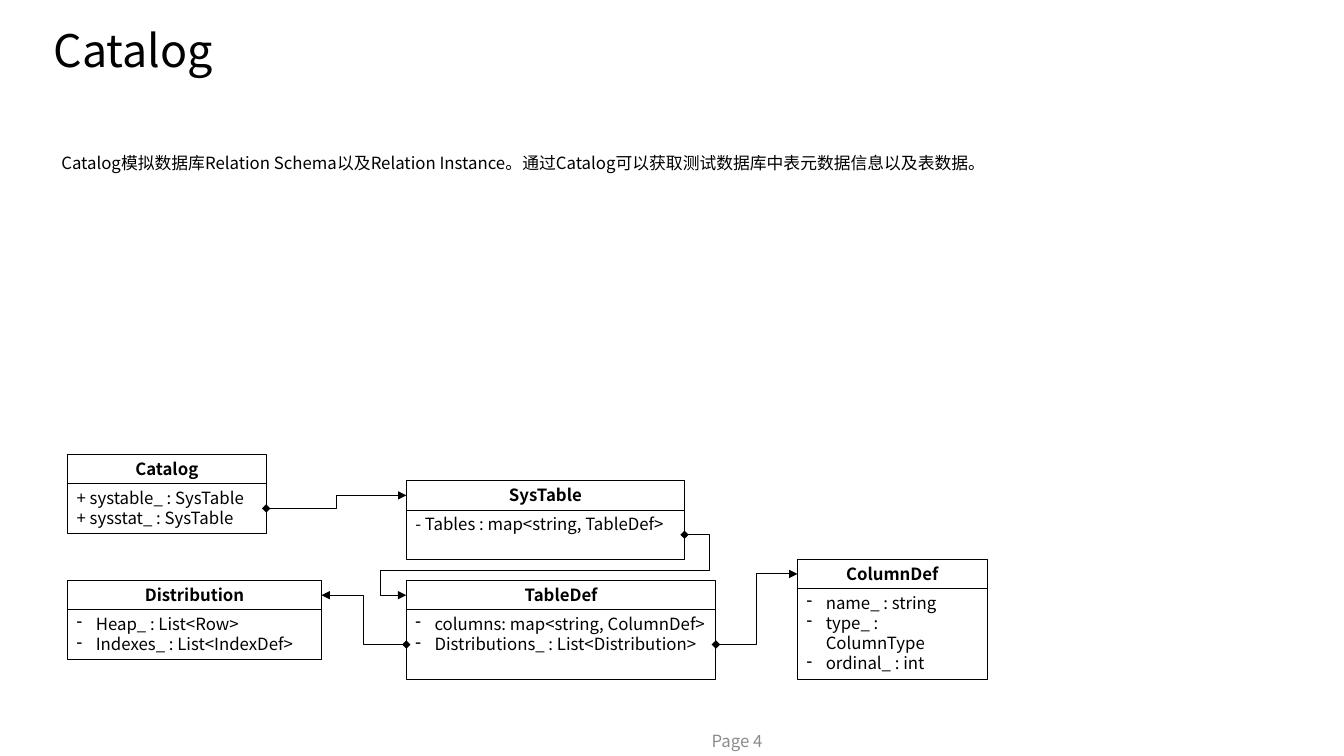
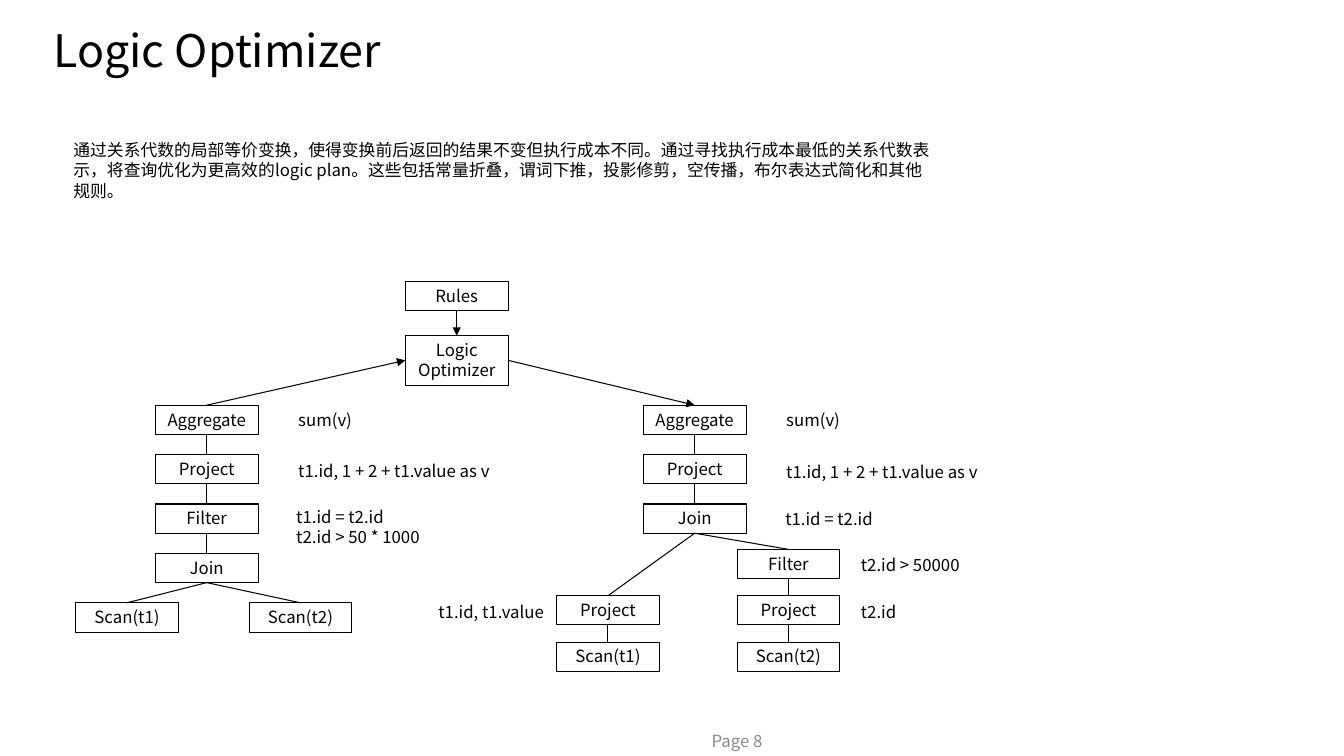
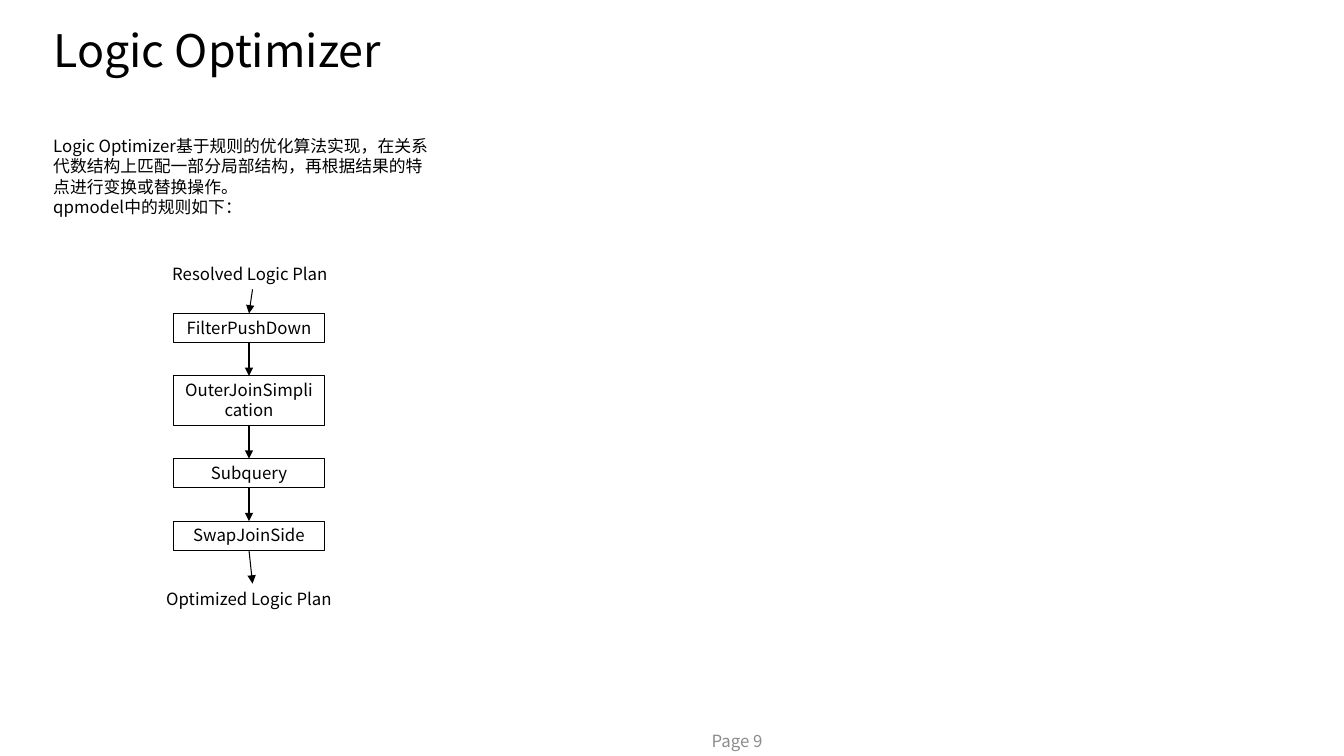
"""Build three slides about a query engine's catalog and logic optimizer."""
import dataclasses
import typing

import lxml.etree
import pptx
import pptx.dml.color
import pptx.enum.shapes
import pptx.enum.text
import pptx.oxml.ns
import pptx.presentation
import pptx.shapes.autoshape
import pptx.shapes.base
import pptx.slide
import pptx.util

Inches = pptx.util.Inches
Pt = pptx.util.Pt
qn = pptx.oxml.ns.qn
Align = pptx.enum.text.PP_ALIGN
Anchor = pptx.enum.text.MSO_ANCHOR
AutoSize = pptx.enum.text.MSO_AUTO_SIZE
Connector = pptx.enum.shapes.MSO_CONNECTOR
Box = pptx.shapes.autoshape.Shape

BLACK = pptx.dml.color.RGBColor(0x00, 0x00, 0x00)
GRAY = pptx.dml.color.RGBColor(0x8C, 0x8C, 0x8C)
FONT = "Noto Sans CJK SC"
TOP, LEFT, BOTTOM, RIGHT = range(4)
ROW_H, TALL_H = 0.29, 0.49
LABEL_H = 0.3
NODE_W = 1.02


@dataclasses.dataclass(frozen=True)
class Entity:
    name: str
    left: float
    top: float
    width: float
    body_height: float
    members: str
    bullet: str = ""


@dataclasses.dataclass(frozen=True)
class Node:
    key: str
    text: str
    left: float
    top: float
    height: float = ROW_H


@dataclasses.dataclass(frozen=True)
class Label:
    text: str
    left: float
    top: float
    width: float
    height: float = LABEL_H


@dataclasses.dataclass(frozen=True)
class Edge:
    start: str
    end: str
    start_site: int = BOTTOM
    end_site: int = TOP
    tail: str = ""
    bends: tuple[int, ...] = ()


ENTITIES = (
    Entity("Catalog", 0.67, 4.51, 1.97, 0.49,
           "+ systable_ : SysTable\n+ sysstat_ : SysTable"),
    Entity("SysTable", 4.03, 4.77, 2.76, 0.49, "- Tables : map<string, TableDef>"),
    Entity("TableDef", 4.03, 5.76, 3.07, 0.69,
           "columns: map<string, ColumnDef>\nDistributions_ : List<Distribution>", "-"),
    Entity("ColumnDef", 7.91, 5.55, 1.88, 0.9,
           "name_ : string\ntype_ : ColumnType\nordinal_ : int", "-"),
    Entity("Distribution", 0.67, 5.76, 2.52, 0.49,
           "Heap_ : List<Row>\nIndexes_ : List<IndexDef>", "-"),
)
REFERENCES = (
    Edge("TableDef", "ColumnDef", RIGHT, LEFT),
    Edge("SysTable", "TableDef", RIGHT, LEFT, bends=(-9100, 58500, 109100)),
    Edge("Catalog", "SysTable", RIGHT, LEFT),
    Edge("TableDef", "Distribution", LEFT, RIGHT),
)

PLAN_TOP, PLAN_STEP = 4.02, 0.49
BRANCH_TOP, BRANCH_STEP = 5.45, 0.46
PLAN_ROWS = [PLAN_TOP + PLAN_STEP * i for i in range(5)]
BRANCH_ROWS = [BRANCH_TOP + BRANCH_STEP * i for i in range(3)]
PLAN_NODES = (
    Node("rules", "Rules", 4.02, 2.79),
    Node("optimizer", "Logic Optimizer", 4.02, 3.33, TALL_H),
    *(Node(f"old {text}", text, 1.54, top)
      for text, top in zip(("Aggregate", "Project", "Filter", "Join"), PLAN_ROWS)),
    Node("old t1", "Scan(t1)", 0.75, PLAN_ROWS[4]),
    Node("old t2", "Scan(t2)", 2.47, PLAN_ROWS[4]),
    *(Node(f"new {text}", text, 6.38, top)
      for text, top in zip(("Aggregate", "Project", "Join"), PLAN_ROWS)),
    *(Node(f"t1 {text}", text, 5.52, top)
      for text, top in zip(("Project", "Scan(t1)"), BRANCH_ROWS[1:])),
    *(Node(f"t2 {text}", text, 7.31, top)
      for text, top in zip(("Filter", "Project", "Scan(t2)"), BRANCH_ROWS)),
)
PLAN_LABELS = (
    Label("sum(v)", 2.86, 4.02, 0.74),
    Label("t1.id, 1 + 2 + t1.value as v", 2.86, 4.52, 2.27),
    Label("t1.id = t2.id\nt2.id > 50 * 1000", 2.84, 4.98, 1.54, 0.5),
    Label("sum(v)", 7.7, 4.02, 0.74),
    Label("t1.id, 1 + 2 + t1.value as v", 7.7, 4.53, 2.27),
    Label("t1.id = t2.id", 7.69, 5, 1.13),
    Label("t2.id > 50000", 8.44, 5.45, 1.27),
    Label("t2.id", 8.44, 5.92, 0.57),
    Label("t1.id, t1.value", 4.25, 5.92, 1.27),
)
PLAN_EDGES = (
    Edge("rules", "optimizer", tail="triangle"),
    Edge("old Aggregate", "optimizer", TOP, LEFT, "triangle"),
    Edge("optimizer", "new Aggregate", RIGHT, TOP, "triangle"),
    Edge("old Aggregate", "old Project"),
    Edge("old Project", "old Filter"),
    Edge("old Filter", "old Join"),
    Edge("old Join", "old t1"),
    Edge("old Join", "old t2"),
    Edge("new Aggregate", "new Project"),
    Edge("new Project", "new Join"),
    Edge("new Join", "t1 Project"),
    Edge("new Join", "t2 Filter"),
    Edge("t1 Project", "t1 Scan(t1)"),
    Edge("t2 Filter", "t2 Project"),
    Edge("t2 Project", "t2 Scan(t2)"),
)

RULES = (("FilterPushDown", ROW_H), ("OuterJoinSimplication", TALL_H),
         ("Subquery", ROW_H), ("SwapJoinSide", ROW_H))
RULE_LEFT, RULE_TOP, RULE_W, RULE_GAP = 1.72, 3.11, 1.5, 0.33


def write(sp: Box, text: str, *, size: float = 12, bold: bool = False,
          color: pptx.dml.color.RGBColor = BLACK, align: Align = Align.LEFT,
          anchor: Anchor = Anchor.TOP, wrap: bool = True, grow: bool = True,
          spacing: typing.Optional[float] = None, bullet: str = "") -> None:
    """Fill a shape with one formatted paragraph per line of text."""
    tf = sp.text_frame
    tf.word_wrap = wrap
    tf.auto_size = AutoSize.SHAPE_TO_FIT_TEXT if grow else AutoSize.NONE
    tf.vertical_anchor = anchor
    for i, line in enumerate(text.split("\n")):
        p = tf.add_paragraph() if i else tf.paragraphs[0]
        p.alignment = align
        if spacing:
            p.line_spacing = spacing
        if bullet:
            pPr = p._p.get_or_add_pPr()
            pPr.set("marL", str(Inches(0.19)))
            pPr.set("indent", str(-Inches(0.19)))
            lxml.etree.SubElement(pPr, qn("a:buChar"), char=bullet)
        r = p.add_run()
        r.text = line
        r.font.name = FONT
        r.font.size = Pt(size)
        r.font.bold = bold
        r.font.color.rgb = color
        lxml.etree.SubElement(r._r.get_or_add_rPr(), qn("a:ea"), typeface=FONT)


def add_text(s: pptx.slide.Slide, text: str, left: float, top: float, width: float,
             height: float, **style: typing.Any) -> Box:
    """Add a text box."""
    sp = s.shapes.add_textbox(Inches(left), Inches(top), Inches(width), Inches(height))
    write(sp, text, **style)
    return sp


def add_box(s: pptx.slide.Slide, text: str, left: float, top: float, width: float,
            height: float, **style: typing.Any) -> Box:
    """Add an unfilled outlined process box."""
    sp = s.shapes.add_shape(pptx.enum.shapes.MSO_SHAPE.FLOWCHART_PROCESS,
                            Inches(left), Inches(top), Inches(width), Inches(height))
    sp.shadow.inherit = False
    sp.fill.background()
    sp.line.color.rgb = BLACK
    sp.line.width = Pt(0.75)
    tf = sp.text_frame
    tf.margin_left = tf.margin_right = Inches(0.09)
    tf.margin_top = tf.margin_bottom = Inches(0.04)
    write(sp, text, **style)
    return sp


def add_edge(s: pptx.slide.Slide, start: pptx.shapes.base.BaseShape,
             end: pptx.shapes.base.BaseShape, edge: Edge, *, kind: Connector = Connector.STRAIGHT,
             head: str = "", tail: str = "") -> None:
    """Connect two shapes, with optional arrowheads and bend positions."""
    c = s.shapes.add_connector(kind, 0, 0, 0, 0)
    c.begin_connect(start, edge.start_site)
    c.end_connect(end, edge.end_site)
    c.line.color.rgb = BLACK
    c.line.width = Pt(0.75)
    spPr = c.element.spPr
    for tag, shape in (("a:headEnd", head), ("a:tailEnd", tail)):
        if shape:
            lxml.etree.SubElement(spPr.find(qn("a:ln")), qn(tag), type=shape)
    lxml.etree.SubElement(spPr, qn("a:effectLst"))
    if edge.bends:
        geom = spPr.find(qn("a:prstGeom"))
        geom.set("prst", "bentConnector5")
        for i, value in enumerate(edge.bends, 1):
            lxml.etree.SubElement(geom.find(qn("a:avLst")), qn("a:gd"),
                                  name=f"adj{i}", fmla=f"val {value}")


def add_slide(prs: pptx.presentation.Presentation, title: str, page: int) -> pptx.slide.Slide:
    """Add a slide with the shared title and page number."""
    s = prs.slides.add_slide(prs.slide_layouts[5])
    sp = s.shapes.title
    sp.left, sp.top, sp.width, sp.height = (Inches(v) for v in (0.43, 0.05, 8.47, 0.95))
    write(sp, title, size=32, anchor=Anchor.MIDDLE, grow=False, spacing=0.9)
    add_text(s, f"Page {page}", 6.96, 7.1, 2.29, 0.5, color=GRAY,
             anchor=Anchor.MIDDLE, grow=False)
    return s


def build_catalog(prs: pptx.presentation.Presentation) -> None:
    """Draw the catalog class diagram."""
    s = add_slide(prs, "Catalog", 4)
    add_text(s, "Catalog模拟数据库Relation Schema以及Relation Instance。"
             "通过Catalog可以获取测试数据库中表元数据信息以及表数据。",
             0.51, 1.47, 9.54, LABEL_H, wrap=False)
    headers, bodies = {}, {}
    for e in ENTITIES:
        headers[e.name] = add_box(s, e.name, e.left, e.top, e.width, ROW_H,
                                  bold=True, align=Align.CENTER)
        bodies[e.name] = add_box(s, e.members, e.left, e.top + ROW_H, e.width,
                                 e.body_height, bullet=e.bullet)
    for edge in REFERENCES:
        add_edge(s, bodies[edge.start], headers[edge.end], edge, kind=Connector.ELBOW,
                 head="diamond", tail="triangle")


def build_plans(prs: pptx.presentation.Presentation) -> None:
    """Draw the plan trees before and after optimization."""
    s = add_slide(prs, "Logic Optimizer", 8)
    add_text(s, "通过关系代数的局部等价变换，使得变换前后返回的结果不变但执行成本不同。"
             "通过寻找执行成本最低的关系代数表示，将查询优化为更高效的logic plan。"
             "这些包括常量折叠，谓词下推，投影修剪，空传播，布尔表达式简化和其他规则。",
             0.63, 1.34, 8.74, 0.71)
    nodes = {n.key: add_box(s, n.text, n.left, n.top, NODE_W, n.height, align=Align.CENTER)
             for n in PLAN_NODES}
    for label in PLAN_LABELS:
        add_text(s, label.text, label.left, label.top, label.width, label.height, wrap=False)
    for edge in PLAN_EDGES:
        add_edge(s, nodes[edge.start], nodes[edge.end], edge, tail=edge.tail)


def build_rules(prs: pptx.presentation.Presentation) -> None:
    """Draw the chain of optimizer rules."""
    s = add_slide(prs, "Logic Optimizer", 9)
    add_text(s, "Logic Optimizer基于规则的优化算法实现，在关系代数结构上匹配一部分局部结构，"
             "再根据结果的特点进行变换或替换操作。\nqpmodel中的规则如下：",
             0.43, 1.3, 3.94, 0.91)
    chain = [add_text(s, "Resolved Logic Plan", 1.61, 2.57, 1.79, LABEL_H, wrap=False)]
    top = RULE_TOP
    for text, height in RULES:
        chain.append(add_box(s, text, RULE_LEFT, top, RULE_W, height, align=Align.CENTER))
        top += height + RULE_GAP
    chain.append(add_text(s, "Optimized Logic Plan", 1.55, top, 1.91, LABEL_H, wrap=False))
    for start, end in zip(chain, chain[1:]):
        add_edge(s, start, end, Edge("", ""), tail="triangle")


def main() -> None:
    """Build and save the presentation."""
    prs = pptx.Presentation()
    prs.slide_width, prs.slide_height = Inches(13.33), Inches(7.5)
    build_catalog(prs)
    build_plans(prs)
    build_rules(prs)
    prs.save("out.pptx")


if __name__ == "__main__":
    main()
